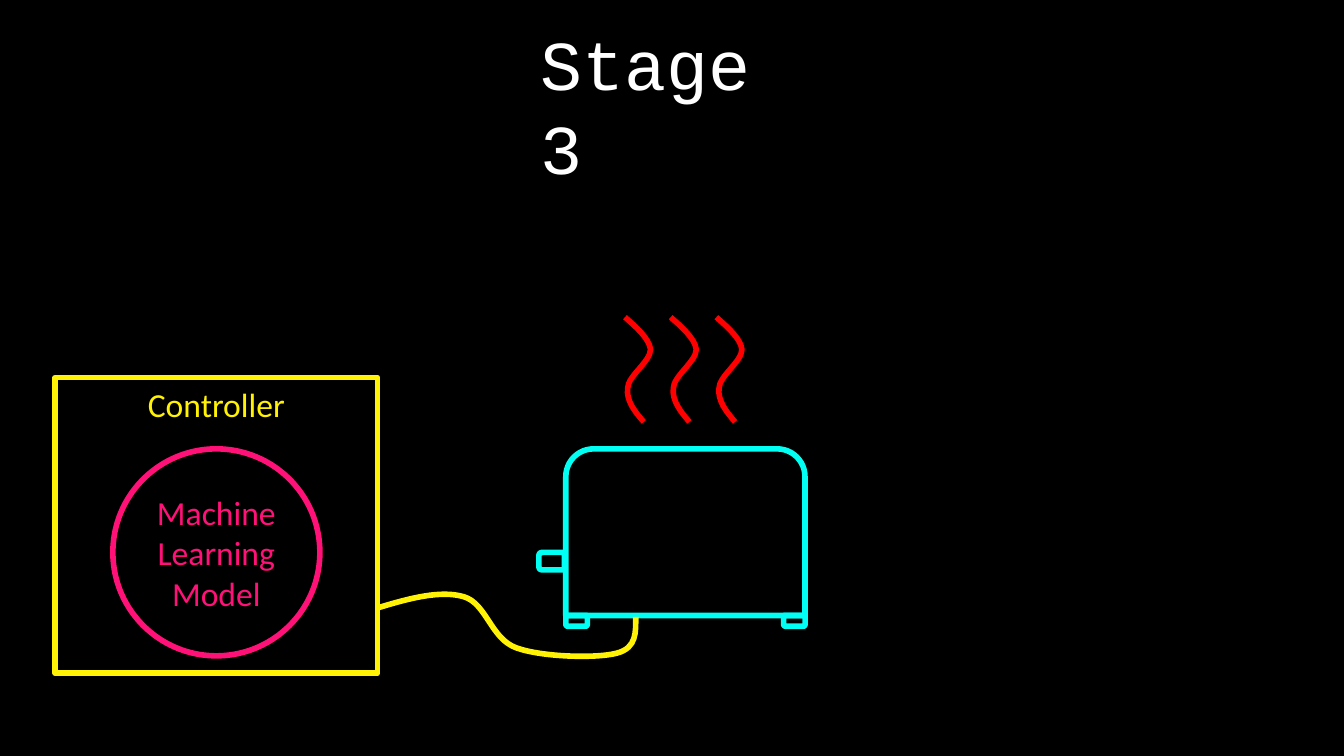
from lxml import etree
from pptx import Presentation
from pptx.dml.color import RGBColor
from pptx.enum import shapes as kinds, text as txt
from pptx.oxml import ns
from pptx.util import Inches, Pt

COLORS = {
    "background": "000000",
    "title": "FFFFFF",
    "toaster": "01FFF4",
    "steam": "FE0000",
    "controller": "FFF205",
    "model": "FF1178",
}
SHAPE = kinds.MSO_SHAPE


def rgb(name):
    return RGBColor.from_string(COLORS[name])


def outline(shape, color):
    shape.shadow.inherit = False
    shape.fill.background()
    shape.line.color.rgb = rgb(color)
    shape.line.width = Pt(3)
    return shape


def add_outlined(slide, kind, box, color, rotation=0):
    shape = slide.shapes.add_shape(kind, *map(Inches, box))
    shape.rotation = rotation
    return outline(shape, color)


def add_curve(slide, left, top, points, color):
    placed = [(Inches(left + x), Inches(top + y)) for x, y in points]
    builder = slide.shapes.build_freeform(*placed[0])
    builder.add_line_segments(placed[1:], close=False)
    curve = builder.convert_to_shape()
    route = next(curve.element.iter(ns.qn("a:path")))
    segments = route.findall(ns.qn("a:lnTo"))
    for start in range(0, len(segments), 3):
        bezier = etree.SubElement(route, ns.qn("a:cubicBezTo"))
        for segment in segments[start:start + 3]:
            bezier.append(segment[0])
            route.remove(segment)
    return outline(curve, color)


def write(shape, content, *, size, font, color, align=None,
          anchor=txt.MSO_ANCHOR.TOP, side_inset=0.1):
    frame = shape.text_frame
    frame.word_wrap = True
    frame.vertical_anchor = anchor
    frame.margin_left = frame.margin_right = Inches(side_inset)
    paragraph = frame.paragraphs[0]
    paragraph.alignment = align
    run = paragraph.add_run()
    run.text = content
    run.font.size = Pt(size)
    run.font.name = font
    run.font.color.rgb = rgb(color)


def add_title(slide, left, top, width, height):
    title = slide.shapes.add_textbox(*map(Inches, (left, top, width, height)))
    write(title, "Stage 3", size=37.5, font="Courier New", color="title",
          align=txt.PP_ALIGN.LEFT)
    title.text_frame.auto_size = txt.MSO_AUTO_SIZE.SHAPE_TO_FIT_TEXT


def add_toaster(slide, left, top, width, height):
    rounded = SHAPE.ROUND_2_SAME_RECTANGLE
    foot_width, foot_height = 0.16, 0.08
    add_outlined(slide, rounded, (left, top, width, height), "toaster")
    for foot_left in (left, left + width - foot_width):
        add_outlined(slide, rounded,
                     (foot_left, top + height, foot_width, foot_height),
                     "toaster", 180)
    add_outlined(slide, rounded, (left - 0.17, top + 0.74, 0.13, 0.19),
                 "toaster", 270)


def add_steam(slide, left, top, pitch, count):
    wisp = [(0, 0), (0.09, 0.08), (0.18, 0.16), (0.19, 0.24),
            (0.19, 0.33), (0.02, 0.44), (0.02, 0.53),
            (0.01, 0.62), (0.07, 0.7), (0.14, 0.78)]
    for index in range(count):
        add_curve(slide, left + index * pitch, top, wisp, "steam")


def add_controller(slide, left, top, width, height):
    diameter = 1.54
    label = {"size": 18, "font": "Calibri", "align": txt.PP_ALIGN.CENTER}
    controller = add_outlined(slide, SHAPE.RECTANGLE,
                              (left, top, width, height), "controller")
    write(controller, "Controller", color="controller", **label)
    model = add_outlined(
        slide, SHAPE.OVAL,
        (left + (width - diameter) / 2, top + 0.53, diameter, diameter),
        "model")
    write(model, "Machine Learning Model", color="model",
          anchor=txt.MSO_ANCHOR.MIDDLE, side_inset=0.05, **label)


def add_cable(slide, left, top):
    cable = [(0, 0), (0.23, -0.07), (0.46, -0.13), (0.63, -0.08),
             (0.8, -0.03), (0.83, 0.23), (1.02, 0.3),
             (1.21, 0.37), (1.62, 0.38), (1.77, 0.34),
             (1.92, 0.3), (1.91, 0.18), (1.91, 0.07)]
    add_curve(slide, left, top, cable, "controller")


def main():
    deck = Presentation()
    deck.slide_width = Inches(10)
    deck.slide_height = deck.slide_width * 9 // 16
    slide = deck.slides.add_slide(deck.slide_layouts[6])
    slide.background.fill.solid()
    slide.background.fill.fore_color.rgb = rgb("background")
    add_toaster(slide, 4.21, 3.34, 1.78, 1.24)
    add_steam(slide, 4.65, 2.36, 0.34, 3)
    add_title(slide, 3.92, 0.1, 2.23, 0.73)
    add_controller(slide, 0.41, 2.81, 2.4, 2.2)
    add_cable(slide, 2.82, 4.52)
    deck.save("out.pptx")


if __name__ == "__main__":
    main()
